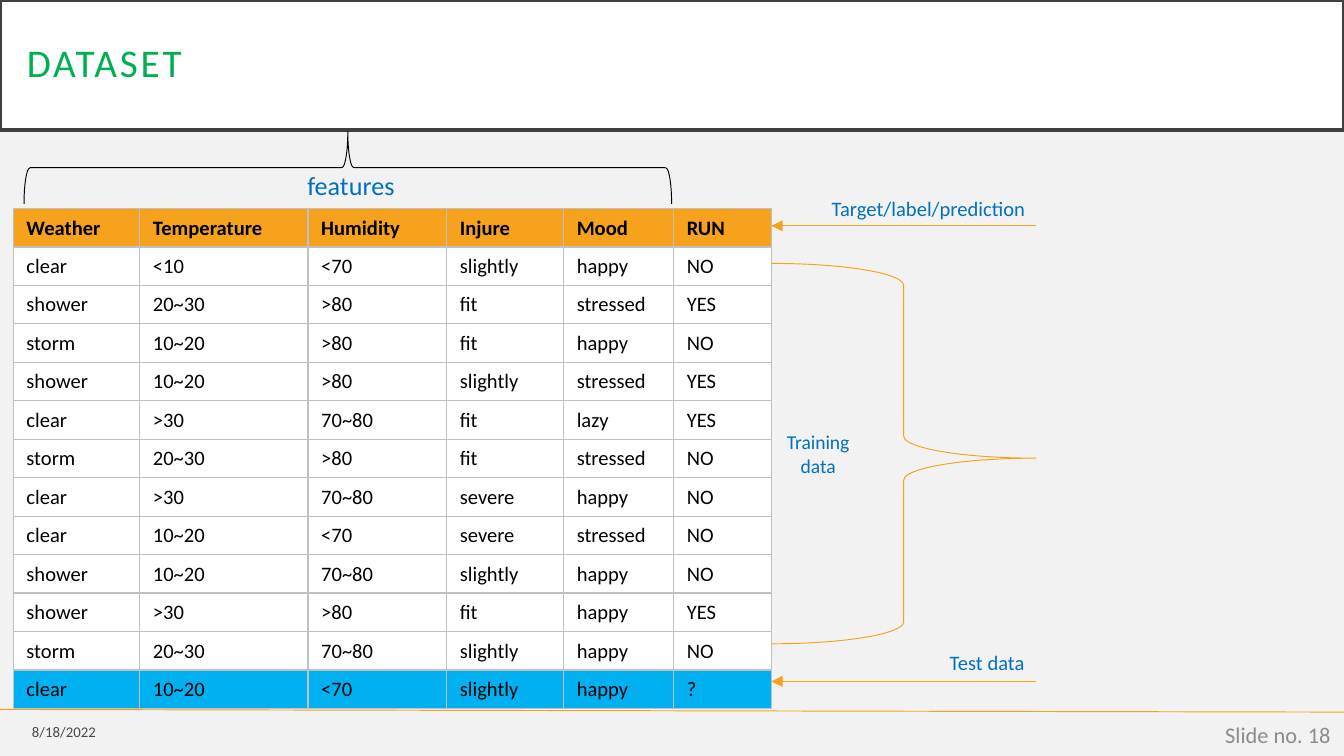
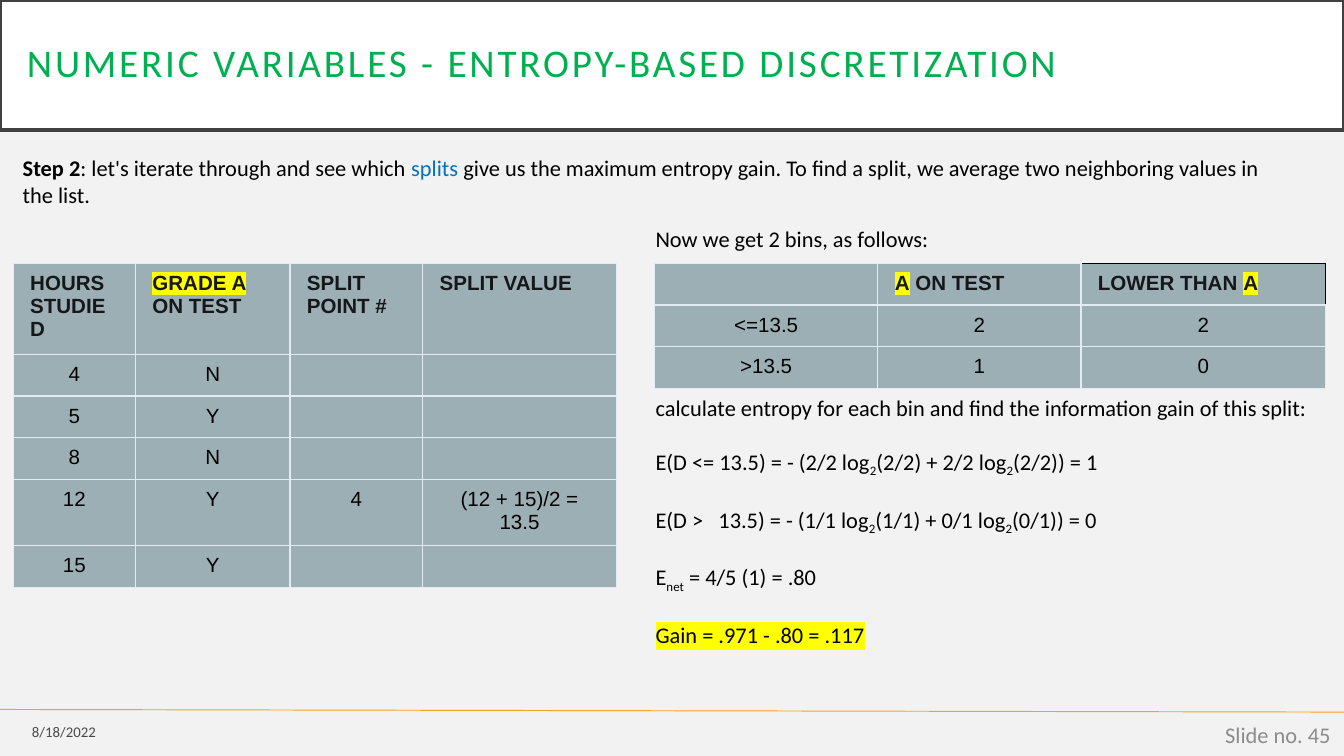
from dataclasses import dataclass

from lxml import etree
from pptx import Presentation
from pptx import util as u
from pptx.dml.color import RGBColor
from pptx.enum import shapes, text
from pptx.oxml.ns import qn

COLORS = {
    "background": "F2F2F2", "white": "FFFFFF", "text": "000000",
    "frame": "404040", "title": "00B050", "accent": "F6A21D",
    "label": "0070C0", "number": "8C8C8C", "test": "00B0F0",
    "grid": "BDC1C4", "bins": "9BAFB5", "bins_grid": "E3ECF3",
    "bins_header": "15171A", "highlight": "FFFF00",
}
LEFT, CENTER, RIGHT = (text.PP_ALIGN.LEFT, text.PP_ALIGN.CENTER, text.PP_ALIGN.RIGHT)
TOP, MIDDLE = text.MSO_ANCHOR.TOP, text.MSO_ANCHOR.MIDDLE
SLIDE_WIDTH, SLIDE_HEIGHT = 25.4, 14.29
TABLE_LEFT = 0.25
BINS_ROW = 0.78
DATE = "8/18/2022"


@dataclass(frozen=True)
class Run:
    text: str
    color: str = "text"
    bold: bool = False
    highlight: bool = False
    subscript: bool = False
    spacing: float = 0


@dataclass(frozen=True)
class Box:
    left: float
    top: float
    width: float
    height: float

    def lengths(self) -> list:
        return [u.Cm(v) for v in (self.left, self.top, self.width, self.height)]


@dataclass(frozen=True)
class Label:
    box: Box
    paragraphs: list
    size: float
    align: text.PP_ALIGN = LEFT
    anchor: text.MSO_ANCHOR = TOP
    wrap: bool = True
    gap: float = 0


@dataclass(frozen=True)
class Grid:
    left: float
    top: float
    columns: list
    heights: list
    rows: list
    fills: list
    border: str
    font: str
    margins: tuple
    anchor: text.MSO_ANCHOR
    body_align: text.PP_ALIGN


def rgb(name: str) -> RGBColor:
    return RGBColor.from_string(COLORS[name])


def add_runs(paragraph, runs: list, size: float, font: str = "Calibri") -> None:
    for item in runs:
        run = paragraph.add_run()
        run.text = item.text
        run.font.size = u.Pt(size)
        run.font.name = font
        run.font.bold = item.bold
        run.font.color.rgb = rgb(item.color)
        properties = run.font._element
        if item.spacing:
            properties.set("spc", str(round(item.spacing * 100)))
        if item.subscript:
            properties.set("baseline", "-25000")
        if item.highlight:
            highlight = etree.Element(qn("a:highlight"))
            etree.SubElement(highlight, qn("a:srgbClr"), val=COLORS["highlight"])
            properties.find(qn("a:solidFill")).addnext(highlight)


def add_label(slide, label: Label):
    shape = slide.shapes.add_textbox(*label.box.lengths())
    frame = shape.text_frame
    frame.word_wrap = label.wrap
    frame.vertical_anchor = label.anchor
    for index, runs in enumerate(label.paragraphs):
        paragraph = frame.add_paragraph() if index else frame.paragraphs[0]
        paragraph.alignment = label.align
        if index:
            paragraph.space_before = u.Pt(label.gap)
        add_runs(paragraph, runs, label.size)
    return shape


def add_line(slide, start: tuple, end: tuple, arrow: bool = False) -> None:
    line = slide.shapes.add_connector(
        shapes.MSO_CONNECTOR.STRAIGHT, *(u.Cm(v) for v in start + end))
    line.line.color.rgb = rgb("accent")
    line.line.width = u.Pt(0.5)
    if arrow:
        etree.SubElement(line.line._get_or_add_ln(), qn("a:tailEnd"), type="triangle")
    etree.SubElement(line._element.spPr, qn("a:effectLst"))


def add_outline(slide, kind, box: Box, color: str, width: float):
    """Add an unfilled preset shape without a shadow."""
    shape = slide.shapes.add_shape(kind, *box.lengths())
    shape.shadow.inherit = False
    shape.fill.background()
    shape.line.color.rgb = rgb(color)
    shape.line.width = u.Pt(width)
    return shape


def set_borders(cell, left: str, right: str, top: str, bottom: str) -> None:
    properties = cell._tc.get_or_add_tcPr()
    for index, (side, color) in enumerate(zip("LRTB", (left, right, top, bottom))):
        width = u.Pt(1 if color == "text" else 0.75)
        border = etree.Element(qn(f"a:ln{side}"), w=str(width))
        fill = etree.SubElement(border, qn("a:solidFill"))
        etree.SubElement(fill, qn("a:srgbClr"), val=COLORS[color])
        properties.insert(index, border)


def add_grid(slide, grid: Grid, size: float = 11):
    box = Box(grid.left, grid.top, sum(grid.columns), sum(grid.heights))
    table = slide.shapes.add_table(
        len(grid.rows), len(grid.columns), *box.lengths()).table
    table.first_row = table.horz_banding = False
    for column, width in zip(table.columns, grid.columns):
        column.width = u.Cm(width)
    for r, (row, height) in enumerate(zip(table.rows, grid.heights)):
        row.height = u.Cm(height)
        for cell, runs in zip(row.cells, grid.rows[r]):
            cell.fill.solid()
            cell.fill.fore_color.rgb = rgb(grid.fills[r])
            cell.margin_left = cell.margin_right = u.Cm(grid.margins[0])
            cell.margin_top = cell.margin_bottom = u.Cm(grid.margins[1])
            cell.vertical_anchor = grid.anchor
            paragraph = cell.text_frame.paragraphs[0]
            paragraph.alignment = grid.body_align if r else LEFT
            if runs:
                add_runs(paragraph, runs, size, grid.font)
            else:
                etree.SubElement(paragraph._p, qn("a:endParaRPr"), sz=str(size * 100))
            set_borders(cell, *[grid.border] * 4)
    return table


def bins_grid(left: float, columns: list, heights: list, header: list, body: list) -> Grid:
    rows = [header] + [[[Run(value)] if value else [] for value in row] for row in body]
    return Grid(left, 4.98, columns, heights, rows, ["bins"] * len(rows),
                "bins_grid", "Arial", (0.32, 0.16), TOP, CENTER)


def add_base_slide(presentation, title: str, number: int):
    """Add a slide with its background, title band, footer rule, date and number."""
    slide = presentation.slides.add_slide(presentation.slide_layouts[6])
    slide.background.fill.solid()
    slide.background.fill.fore_color.rgb = rgb("background")
    add_line(slide, (0, 13.41), (SLIDE_WIDTH, 13.46))

    band = add_outline(slide, shapes.MSO_SHAPE.RECTANGLE,
                       Box(0, 0, SLIDE_WIDTH, 2.46), "frame", 2.5)
    band.fill.solid()
    band.fill.fore_color.rgb = rgb("white")
    frame = band.text_frame
    frame.word_wrap = True
    frame.vertical_anchor = MIDDLE
    frame.margin_left = frame.margin_right = u.Cm(0.51)
    frame.margin_top = frame.margin_bottom = u.Cm(0.51)
    paragraph = frame.paragraphs[0]
    paragraph.alignment = LEFT
    paragraph.line_spacing = 0.9
    add_runs(paragraph, [Run(title, "title", spacing=1.5)], 21)

    date = add_label(slide, Label(Box(0, 13.49, 2.06, 0.69), [[Run(DATE)]],
                                  7.9, RIGHT, MIDDLE))
    color = next(date._element.iter(qn("a:srgbClr")))
    etree.SubElement(color, qn("a:alpha"), val="70000")
    add_label(slide, Label(Box(19.69, 13.51, 5.71, 0.76),
                           [[Run(f"Slide no. {number}", "number")]], 12, RIGHT, MIDDLE))
    return slide


def add_dataset_slide(presentation) -> None:
    slide = add_base_slide(presentation, "DATASET", 18)
    records = [line.split() for line in (
        "Weather Temperature Humidity Injure Mood RUN",
        "clear <10 <70 slightly happy NO",
        "shower 20~30 >80 fit stressed YES",
        "storm 10~20 >80 fit happy NO",
        "shower 10~20 >80 slightly stressed YES",
        "clear >30 70~80 fit lazy YES",
        "storm 20~30 >80 fit stressed NO",
        "clear >30 70~80 severe happy NO",
        "clear 10~20 <70 severe stressed NO",
        "shower 10~20 70~80 slightly happy NO",
        "shower >30 >80 fit happy YES",
        "storm 20~30 70~80 slightly happy NO",
        "clear 10~20 <70 slightly happy ?",
    )]
    rows = [[[Run(value, bold=r == 0)] for value in record]
            for r, record in enumerate(records)]
    fills = ["accent"] + ["white"] * (len(rows) - 2) + ["test"]
    add_grid(slide, Grid(TABLE_LEFT, 3.94, [2.39, 3.18, 2.62, 2.21, 2.08, 1.85],
                         [0.72] * len(rows), rows, fills, "grid", "Calibri",
                         (0.25, 0.13), MIDDLE, LEFT))

    table_right, arrow_start = 14.58, 19.58
    training = add_outline(slide, shapes.MSO_SHAPE.RIGHT_BRACE,
                           Box(table_right, 4.98, arrow_start - table_right, 7.19),
                           "accent", 0.5)
    training.adjustments[1] = 0.512
    training.text_frame.word_wrap = True
    training.text_frame.vertical_anchor = MIDDLE
    paragraph = training.text_frame.paragraphs[0]
    paragraph.alignment = CENTER
    add_runs(paragraph, [Run("Training data", "label")], 10.5)

    features = add_outline(slide, shapes.MSO_SHAPE.RIGHT_BRACE,
                           Box(5.89, -2.95, 1.37, 12.24), "text", 0.5)
    features.rotation = 270

    for y in (4.27, 12.88):
        add_line(slide, (arrow_start, y), (table_right, y), arrow=True)
    for caption, box, size in (
        ("Test data", Box(17.7, 12.17, 2.84, 0.74), 11),
        ("features", Box(5.56, 3.07, 2.77, 0.86), 14),
        ("Target/label/prediction", Box(15.47, 3.58, 5.08, 0.74), 11),
    ):
        add_label(slide, Label(box, [[Run(caption, "label")]], size))


def entropy(opening: list, first: str, second: str, result: int) -> list:
    """Give the runs of a two-term entropy formula."""
    base = Run("2", subscript=True)
    return opening + [
        Run(f" 13.5) = - ({first} log" if len(opening) == 1 else f"13.5) = - ({first} log"),
        base, Run(f"({first}) + {second} log"), base, Run(f"({second})) = {result}")]


def add_entropy_slide(presentation) -> None:
    slide = add_base_slide(
        presentation, "NUMERIC VARIABLES - ENTROPY-BASED DISCRETIZATION", 45)
    add_label(slide, Label(Box(0.18, 2.79, 24.21, 1.8), [[
        Run("Step 2", bold=True),
        Run(": let's iterate through and see which "),
        Run("splits", "label"),
        Run(" give us the maximum entropy gain. To find a split, "
            "we average two neighboring values in the list."),
    ]], 12))

    def heading(value: str, highlight: bool = False) -> Run:
        return Run(value, "bins_header", bold=True, highlight=highlight)

    add_grid(slide, bins_grid(
        TABLE_LEFT, [2.31, 2.92, 2.51, 3.66],
        [1.7] + [BINS_ROW] * 3 + [1.25, BINS_ROW],
        [[heading("HOURS STUDIED")], [heading("GRADE A", True), heading(" ON TEST")],
         [heading("SPLIT POINT #")], [heading("SPLIT VALUE")]],
        [("4", "N", "", ""), ("5", "Y", "", ""), ("8", "N", "", ""),
         ("12", "Y", "4", "(12 + 15)/2 = 13.5"), ("15", "Y", "", "")]))

    add_label(slide, Label(Box(12.14, 4.14, 5.77, 0.76),
                           [[Run("Now we get 2 bins, as follows:")]], 12, wrap=False))
    bins = add_grid(slide, bins_grid(
        12.37, [4.22, 3.84, 4.62], [BINS_ROW] * 3,
        [[], [heading("A", True), heading(" ON TEST")],
         [heading("LOWER THAN "), heading("A", True)]],
        [("<=13.5", "2", "2"), (">13.5", "1", "0")]))
    corner = bins.cell(0, 2)
    for border in list(corner._tc.tcPr)[:4]:
        corner._tc.tcPr.remove(border)
    set_borders(corner, "bins_grid", "text", "text", "bins_grid")

    add_label(slide, Label(Box(12.14, 7.32, 13.03, 5.38), [
        [Run("calculate entropy for each bin and find the information gain of this split:")],
        entropy([Run("E(D <=")], "2/2", "2/2", 1),
        entropy([Run("E(D >"), Run(" ", spacing=5.4)], "1/1", "0/1", 0),
        [Run("E"), Run("net", subscript=True), Run(" = 4/5 (1) = .80")],
        [Run("Gain = .971 - .80 = .117", highlight=True)],
    ], 12, gap=14.6))


def main() -> None:
    presentation = Presentation()
    presentation.slide_width = u.Cm(SLIDE_WIDTH)
    presentation.slide_height = u.Cm(SLIDE_HEIGHT)
    add_dataset_slide(presentation)
    add_entropy_slide(presentation)
    presentation.save("out.pptx")


if __name__ == "__main__":
    main()
